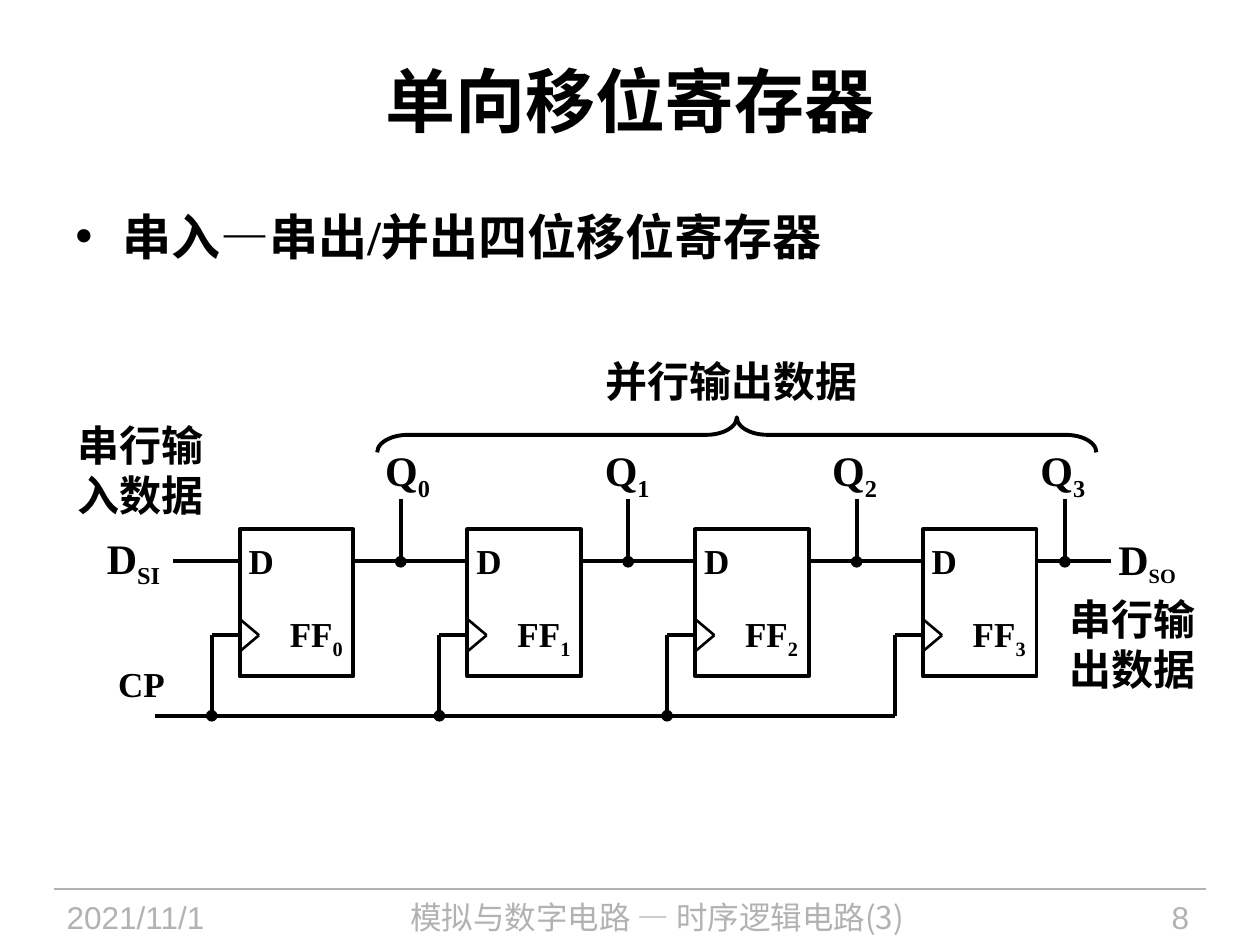
from pptx import Presentation
from pptx.dml.color import RGBColor
from pptx.enum.shapes import MSO_CONNECTOR, MSO_SHAPE
from pptx.enum.text import MSO_ANCHOR as Anchor, MSO_AUTO_SIZE as AutoSize, PP_ALIGN as Align
from pptx.oxml.ns import qn
from pptx.util import Pt
from lxml.etree import SubElement

BLACK = RGBColor(0, 0, 0)
GREY = RGBColor(0xB2, 0xB2, 0xB2)
SERIF, SANS, CHINESE = "Times New Roman", "Arial", "Noto Sans CJK SC"


class CircuitSlide:
    """Holds the style and the current slide; all lengths are in points."""

    def __init__(self, presentation):
        self.slide = presentation.slides.add_slide(presentation.slide_layouts[5])
        self.shapes = self.slide.shapes

    def add_run(self, paragraph, text, size, font=SERIF, color=BLACK, bold=True, subscript=False):
        run = paragraph.add_run()
        run.text = text
        run.font.size = Pt(size)
        run.font.bold = bold
        run.font.color.rgb = color
        run.font.name = font
        properties = run.font._element
        SubElement(properties, qn("a:ea")).set("typeface", CHINESE)
        if subscript:
            properties.set("baseline", "-25000")

    def title(self, text, left, top, width, height):
        shape = self.shapes.title
        shape.left, shape.top, shape.width, shape.height = map(Pt, (left, top, width, height))
        shape.text_frame.vertical_anchor = Anchor.MIDDLE
        paragraph = shape.text_frame.paragraphs[0]
        paragraph.alignment = Align.CENTER
        self.add_run(paragraph, text, 40)

    def text(self, text, left, top, width, height, size=24, subscript="", subscript_size=None,
             align=Align.LEFT, anchor=Anchor.TOP, wrap=True, **style):
        box = self.shapes.add_textbox(Pt(left), Pt(top), Pt(width), Pt(height))
        frame = box.text_frame
        frame.word_wrap = wrap
        frame.auto_size = AutoSize.NONE if wrap else AutoSize.SHAPE_TO_FIT_TEXT
        frame.vertical_anchor = anchor
        paragraph = frame.paragraphs[0]
        paragraph.alignment = align
        self.add_run(paragraph, text, size, **style)
        if subscript:
            self.add_run(paragraph, subscript, subscript_size or size, subscript=True, **style)
        return paragraph

    def bullet(self, text, left, top, width, height):
        paragraph = self.text(text, left, top, width, height, size=28)
        properties = paragraph._p.get_or_add_pPr()
        properties.set("marL", str(Pt(27)))
        properties.set("indent", str(-Pt(27)))
        SubElement(properties, qn("a:buFont")).set("typeface", SANS)
        SubElement(properties, qn("a:buChar")).set("char", "•")

    def line(self, x1, y1, x2, y2, width=2.25, color=BLACK, dot=False):
        line = self.shapes.add_connector(MSO_CONNECTOR.STRAIGHT, Pt(x1), Pt(y1), Pt(x2), Pt(y2))
        line.line.width = Pt(width)
        line.line.color.rgb = color
        if dot:
            SubElement(line.line._get_or_add_ln(), qn("a:tailEnd")).set("type", "oval")
        SubElement(line._element.spPr, qn("a:effectLst"))

    def outline(self, kind, left, top, width, height):
        shape = self.shapes.add_shape(kind, Pt(left), Pt(top), Pt(width), Pt(height))
        shape.shadow.inherit = False
        shape.fill.background()
        shape.line.color.rgb = BLACK
        shape.line.width = Pt(2.25)
        return shape

    def flip_flop(self, index, left):
        self.outline(MSO_SHAPE.RECTANGLE, left, FF_TOP, FF_WIDTH, 84)
        self.text("D", left - 2, 304.5, 29, 31, size=20, wrap=False)
        self.text("FF", left + 21.5, 346.5, 45, 31, size=20, subscript=str(index), wrap=False)
        # Clock input: edge mark and stub
        for y in (CLOCK_Y - 9.25, CLOCK_Y + 9.25):
            self.line(left, y, left + 11, CLOCK_Y, width=1.5)
        self.line(left, CLOCK_Y, left - CLOCK_STUB, CLOCK_Y)


FF_LEFT, FF_PITCH, FF_WIDTH, FF_TOP = 137, 130.1, 65, 302.5
WIRE_Y, CLOCK_Y, BUS_Y, CLOCK_STUB = 320.5, 363, 409, 16
TAPS = (229, 359, 489.5, 608.5)
Q_LEFTS = (213, 338.5, 468.5, 587.5)


def main():
    presentation = Presentation()
    presentation.slide_width, presentation.slide_height = Pt(720), Pt(540)
    page = CircuitSlide(presentation)

    # Footer
    page.line(31, 508, 689, 508, width=0.75, color=GREY)
    for text, left, width, align, font in (
        ("2021/11/1", 31, 135, Align.LEFT, SANS),
        ("模拟与数字电路 — 时序逻辑电路(3)", 173, 405, Align.CENTER, CHINESE),
        ("8", 590.5, 96, Align.RIGHT, SANS),
    ):
        page.text(text, left, 508, width, 32, size=18, align=align, anchor=Anchor.MIDDLE,
                  font=font, color=GREY, bold=False)

    # Heading
    page.title("单向移位寄存器", 36, 12, 648, 90)
    page.bullet("串入—串出/并出四位移位寄存器", 36, 114.5, 648, 81)

    # Flip-flops, data wires, clock branches and parallel outputs
    lefts = [FF_LEFT + FF_PITCH * index for index in range(4)]
    wire_ends = lefts[1:] + [635]
    page.line(99, WIRE_Y, FF_LEFT, WIRE_Y)
    for index, (left, wire_end, tap, q_left) in enumerate(zip(lefts, wire_ends, TAPS, Q_LEFTS)):
        page.flip_flop(index, left)
        page.line(left + FF_WIDTH, WIRE_Y, wire_end, WIRE_Y)
        branch = left - CLOCK_STUB
        page.line(branch, CLOCK_Y, branch, BUS_Y, dot=index < 3)
        page.line(tap, 285, tap, WIRE_Y + 0.5, dot=True)
        page.text("Q", q_left, 250.5, 41, 36, subscript=str(index), wrap=False)
    page.line(88.5, BUS_Y, lefts[-1] - CLOCK_STUB, BUS_Y)

    # Brace over the parallel outputs
    brace = page.outline(MSO_SHAPE.LEFT_BRACE, 411, 43, 20, 411)
    brace.adjustments[0], brace.adjustments[1] = 0.88, 0.5
    brace.rotation = 90

    # Signal names and captions
    page.text("D", 54, 300.5, 47, 36, subscript="SI", wrap=False)
    page.text("CP", 60.5, 375, 41, 31, size=20, wrap=False)
    serial_out = page.text("D", 632, 298, 54, 42.5, subscript="SO", subscript_size=20)
    serial_out.line_spacing = 1.1
    page.text("串行输入数据", 37, 236, 91, 65)
    page.text("串行输出数据", 604, 335.5, 91, 65)
    page.text("并行输出数据", 337.5, 199.5, 161, 36, align=Align.CENTER)

    presentation.save("out.pptx")


if __name__ == "__main__":
    main()
